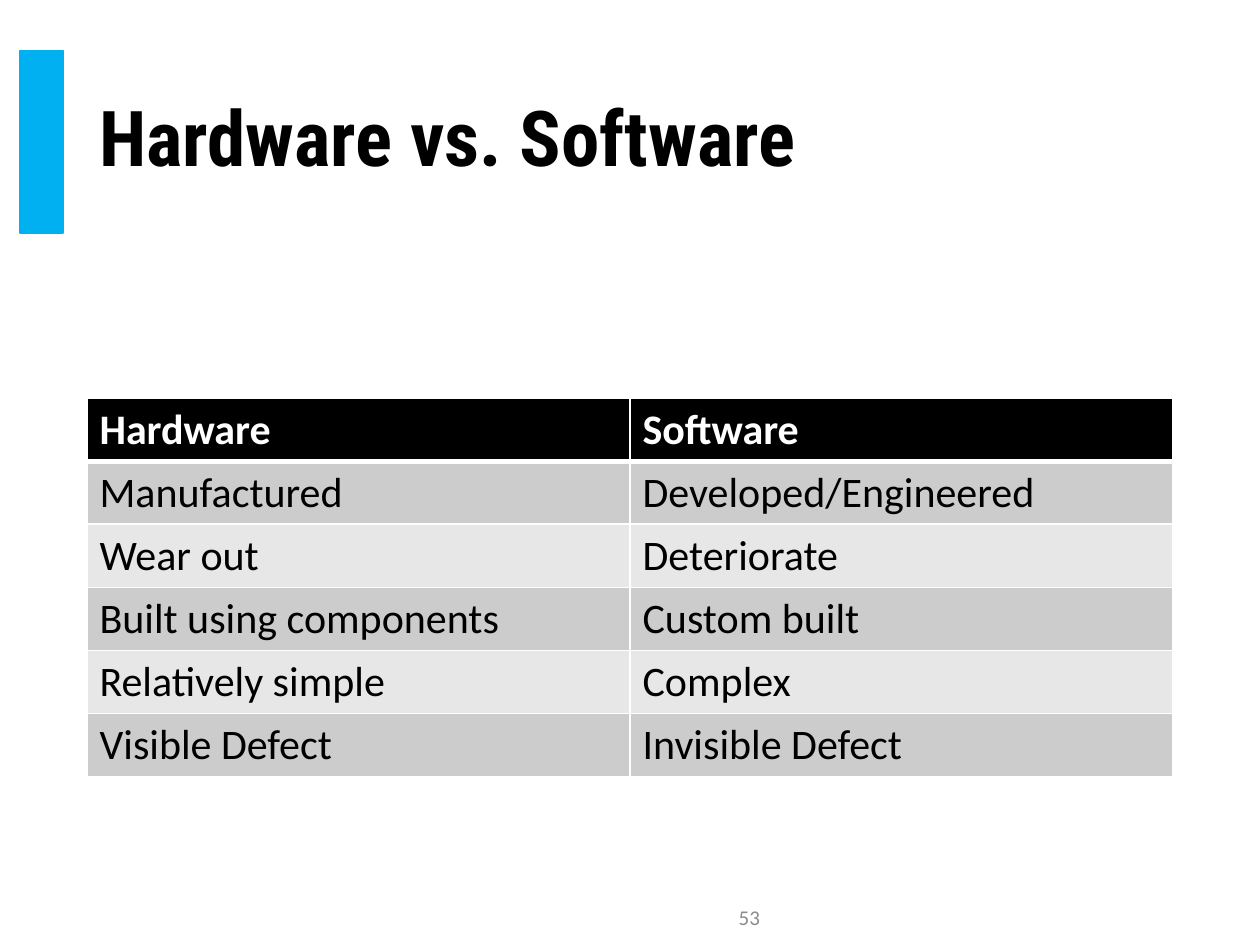
from lxml.etree import SubElement
from pptx import Presentation
from pptx.dml.color import RGBColor
from pptx.enum.shapes import MSO_SHAPE as Shape
from pptx.enum.text import MSO_ANCHOR as Anchor, PP_ALIGN as Align
from pptx.oxml.ns import qn
from pptx.util import Inches, Pt

TITLE = "Hardware vs. Software"
PAGE = "53"
ROWS = [
    ("Hardware", "Software"),
    ("Manufactured", "Developed/Engineered"),
    ("Wear out", "Deteriorate"),
    ("Built using components", "Custom built"),
    ("Relatively simple", "Complex"),
    ("Visible Defect", "Invisible Defect"),
]
COLORS = {
    "accent": "00B0F0", "black": "000000", "white": "FFFFFF",
    "odd": "CCCCCC", "even": "E7E7E7", "page": "8C8C8C",
}
LEFT, WIDTH = 0.69, 8.62
TOP, HEIGHT = 0.4, 1.45
ROW_H = 0.5


def rgb(name):
    return RGBColor.from_string(COLORS[name])


def style(para, face, size, color, bold=False):
    font = para.font
    font.name, font.size, font.bold = face, Pt(size), bold
    font.color.rgb = rgb(color)


def add_text(slide, box, text):
    """Add a middle-anchored text box and return its paragraph."""
    frame = slide.shapes.add_textbox(*map(Inches, box)).text_frame
    frame.word_wrap = True
    frame.vertical_anchor = Anchor.MIDDLE
    para = frame.paragraphs[0]
    para.text = text
    return para


def add_borders(cell, top, bottom):
    props = cell._tc.get_or_add_tcPr()
    for side, width in (("L", 1), ("R", 1), ("T", top), ("B", bottom)):
        line = SubElement(props, qn(f"a:ln{side}"), w=str(Pt(width)))
        fill = SubElement(line, qn("a:solidFill"))
        SubElement(fill, qn("a:srgbClr"), val=COLORS["white"])


def add_grid(slide):
    rows, cols = len(ROWS), len(ROWS[0])
    box = (LEFT, 3.16, WIDTH, rows * ROW_H)
    table = slide.shapes.add_table(rows, cols, *map(Inches, box)).table
    for r, row in enumerate(ROWS):
        head = r == 0
        shade = "black" if head else "odd" if r % 2 else "even"
        for c, text in enumerate(row):
            cell = table.cell(r, c)
            cell.text = text
            style(cell.text_frame.paragraphs[0], "Calibri", 24,
                  "white" if head else "black", head)
            add_borders(cell, 3 if r == 1 else 1, 3 if head else 1)
            cell.fill.solid()
            cell.fill.fore_color.rgb = rgb(shade)


def main():
    deck = Presentation()
    deck.slide_width, deck.slide_height = Inches(10), Inches(7.5)
    slide = deck.slides.add_slide(deck.slide_layouts[6])

    bar = slide.shapes.add_shape(
        Shape.RECTANGLE, *map(Inches, (0.16, TOP, 0.34, HEIGHT)))
    bar.shadow.inherit = False
    bar.fill.solid()
    bar.fill.fore_color.rgb = bar.line.color.rgb = rgb("accent")
    bar.line.width = Pt(1)

    title = add_text(slide, (LEFT, TOP, WIDTH, HEIGHT), TITLE)
    title.line_spacing = 0.9
    style(title, "Roboto Condensed", 44, "black", True)

    add_grid(slide)

    page = add_text(slide, (3.88, 7.08, 2.25, 0.4), PAGE)
    page.alignment = Align.RIGHT
    style(page, "Calibri", 12, "page")

    deck.save("out.pptx")


if __name__ == "__main__":
    main()
